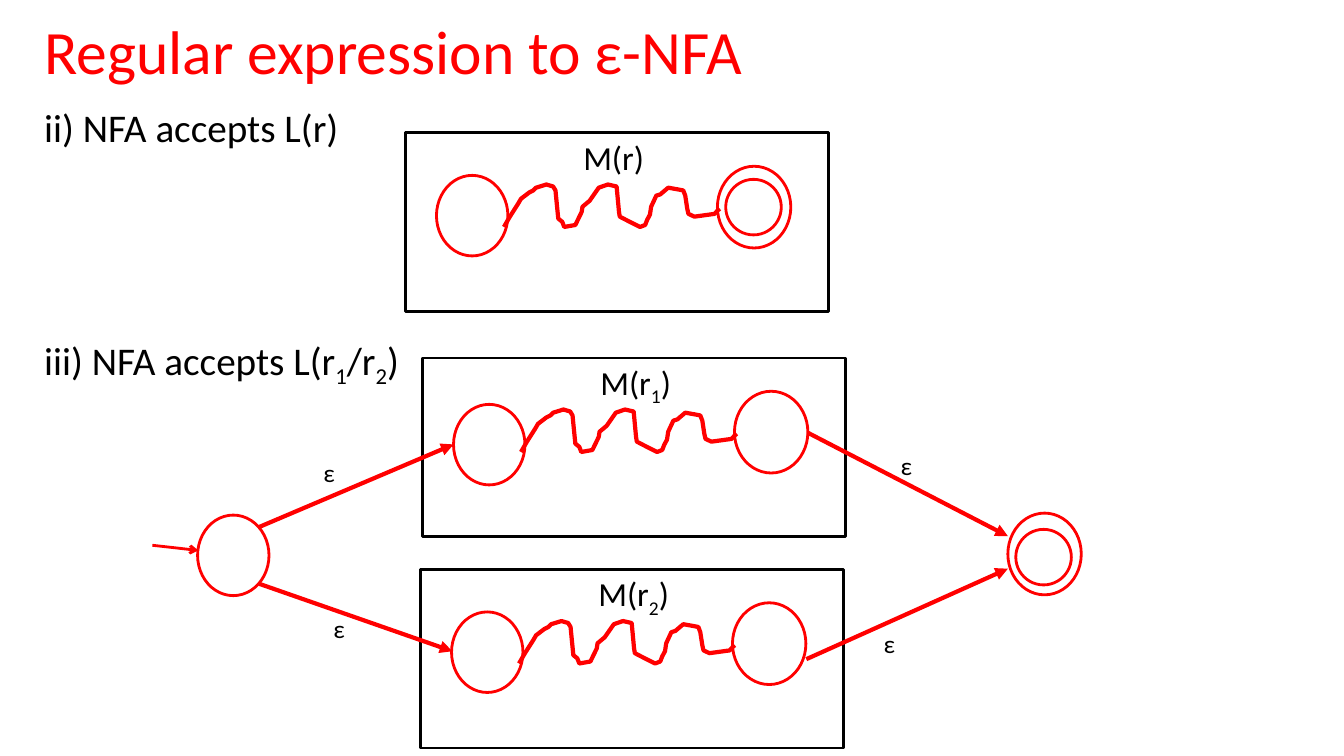
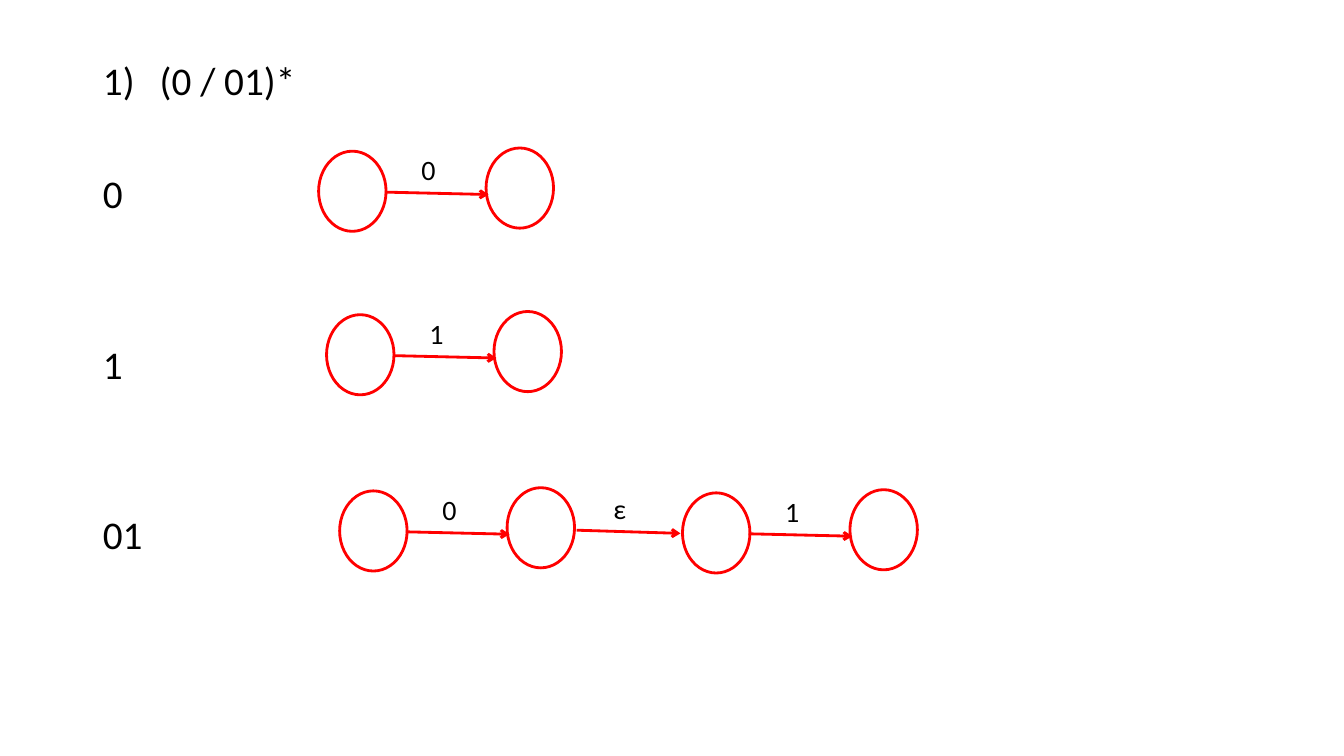
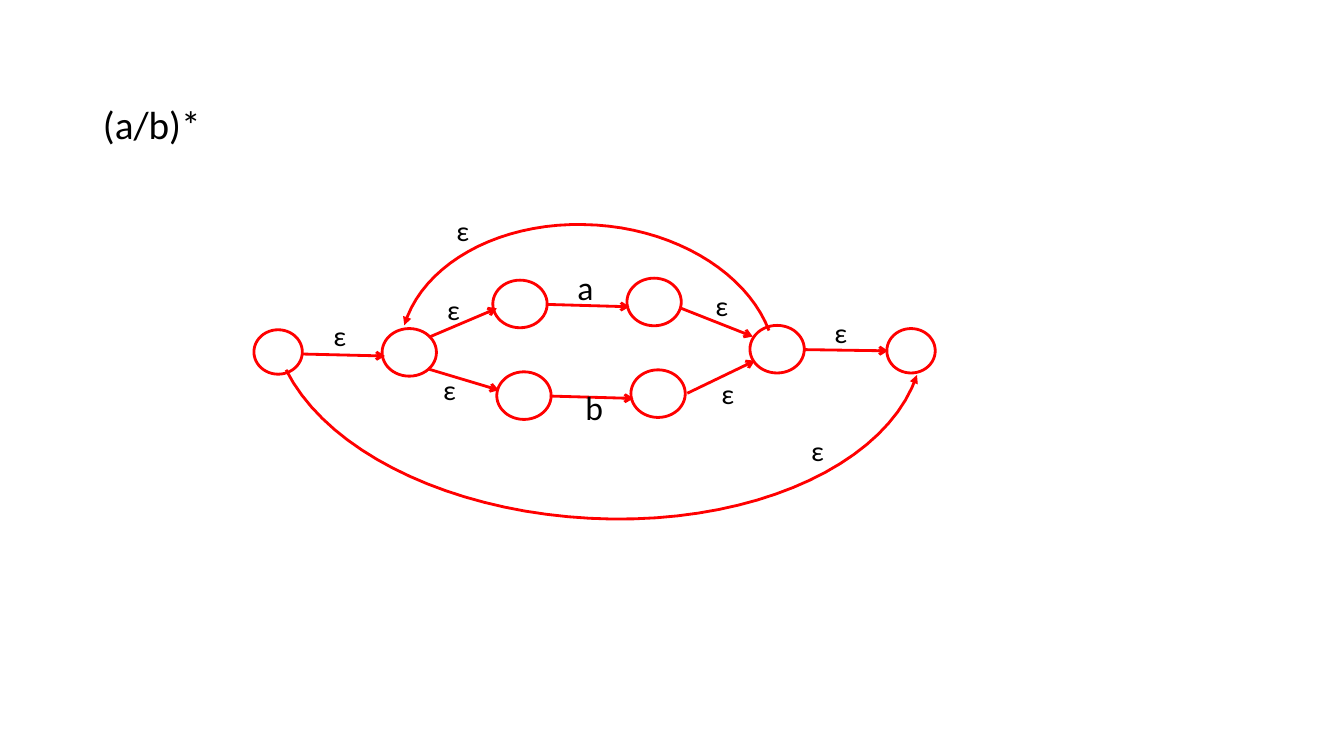
from lxml import etree
from pptx import Presentation
from pptx.dml.color import RGBColor
from pptx.enum.shapes import MSO_CONNECTOR, MSO_SHAPE
from pptx.enum.text import MSO_ANCHOR, MSO_AUTO_SIZE, PP_ALIGN
from pptx.oxml.ns import qn
from pptx.util import Cm, Pt

OVAL, RECTANGLE = MSO_SHAPE.OVAL, MSO_SHAPE.RECTANGLE
STRAIGHT = MSO_CONNECTOR.STRAIGHT
LEFT, TOP, MIDDLE = PP_ALIGN.LEFT, MSO_ANCHOR.TOP, MSO_ANCHOR.MIDDLE
NO_FIT = MSO_AUTO_SIZE.NONE

RED, BLACK = "FF0000", "000000"
FONT = "Calibri"
BODY_SIZE, LINE_SPACING, PARA_GAP = 28, 0.9, 10
LINE_STEP = 40.75  # one body line with its gap, in points

# State sizes in cm
START, FINAL, INNER = (1.8, 2.03), (1.85, 2.06), (1.4, 1.4)
MEDIUM, SMALL, TINY = (1.7, 2.02), (1.37, 1.2), (1.22, 1.12)

# Squiggle between the states of a machine, in cm
WAVE = [
    (0, 1.07), (0.15, 0.81), (0.36, 0.48), (0.43, 0.36), (0.64, 0.2),
    (0.74, 0.15), (0.81, 0.08), (1.07, 0), (1.24, 0.05), (1.3, 0.15),
    (1.32, 0.36), (1.37, 0.86), (1.47, 0.94), (1.52, 1.07), (1.8, 1.02),
    (1.96, 0.69), (1.98, 0.56), (2.16, 0.41), (2.39, 0.08), (2.62, 0),
    (2.84, 0.05), (2.9, 0.69), (2.92, 0.81), (3.17, 0.94), (3.43, 1.07),
    (3.56, 1.02), (3.61, 0.89), (3.68, 0.76), (3.71, 0.56), (3.84, 0.28),
    (3.94, 0.25), (4.14, 0.08), (4.42, 0.13), (4.52, 0.15), (4.57, 0.28),
    (4.62, 0.61), (4.65, 0.74), (4.8, 0.81), (5.31, 0.74), (5.38, 0.66),
    (5.44, 0.61),
]


def colour(value):
    return RGBColor.from_string(value)


def apply(target, values):
    for name, value in values.items():
        setattr(target, name, value)


def bezier(points, steps=20):
    """Points along a chain of cubic curves."""
    curve = [points[0]]
    for first in range(0, len(points) - 1, 3):
        controls = points[first:first + 4]
        for step in range(1, steps + 1):
            t = step / steps
            weights = ((1 - t) ** 3, 3 * t * (1 - t) ** 2,
                       3 * t * t * (1 - t), t ** 3)
            curve.append(tuple(
                sum(w * point[axis] for w, point in zip(weights, controls))
                for axis in (0, 1)))
    return curve


class Slides:
    def __init__(self):
        self.deck = Presentation()
        apply(self.deck, {"slide_width": Cm(33.87), "slide_height": Cm(19.05)})
        self.page = None

    def new_page(self, title=None):
        self.page = self.deck.slides.add_slide(self.deck.slide_layouts[1])
        holder = self.page.shapes.title
        if title is None:
            holder.element.getparent().remove(holder.element)
            return
        self.place(holder, (0.86, 0.15, 32.13, 2.44), MIDDLE)
        self.fill_para(holder.text_frame.paragraphs[0], title, 44, RED)

    def place(self, box, area, anchor):
        names = ("left", "top", "width", "height")
        apply(box, dict(zip(names, map(Cm, area))))
        apply(box.text_frame, {"word_wrap": True, "auto_size": NO_FIT,
                               "vertical_anchor": anchor})

    def fill_para(self, para, text, size, ink=BLACK, spacing=LINE_SPACING):
        """Fill a paragraph; the character after each _ is a subscript."""
        apply(para, {"alignment": LEFT, "line_spacing": spacing})
        plain, *pieces = text.split("_")
        parts = [(plain, False)]
        for piece in pieces:
            parts += [(piece[0], True), (piece[1:], False)]
        for part, lowered in parts:
            span = para.add_run()
            span.text = part
            apply(span.font, {"name": FONT, "size": Pt(size)})
            span.font.color.rgb = colour(ink)
            if lowered:
                span._r.get_or_add_rPr().set("baseline", "-25000")

    def body(self, area, lines, numbered=False):
        """Lines are (text, number of line steps skipped before it)."""
        holder = self.page.placeholders[1]
        self.place(holder, area, TOP)
        frame = holder.text_frame
        for index, (text, skipped) in enumerate(lines):
            para = frame.add_paragraph() if index else frame.paragraphs[0]
            self.fill_para(para, text, BODY_SIZE)
            para.space_before = Pt(PARA_GAP + skipped * LINE_STEP)
            has_number = numbered and index == 0
            indent = Cm(1.43) if has_number else 0
            props = para._p.get_or_add_pPr()
            props.set("marL", str(indent))
            props.set("indent", str(-indent))
            bullet = etree.SubElement(
                props, qn("a:buAutoNum" if has_number else "a:buNone"))
            if has_number:
                bullet.set("type", "arabicParenR")

    def outline(self, shape, ink=RED, weight=2, head=None):
        shape.line.color.rgb = colour(ink)
        shape.line.width = Pt(weight)
        if head:
            line = shape.element.find(".//" + qn("a:ln"))
            etree.SubElement(line, qn("a:tailEnd")).set("type", head)

    def shape(self, kind, left, top, size, ink=RED):
        shape = self.page.shapes.add_shape(
            kind, *map(Cm, (left, top, *size)))
        shape.shadow.inherit = False
        shape.fill.background()
        self.outline(shape, ink)

    def state(self, left, top, size):
        self.shape(OVAL, left, top, size)

    def curve(self, points, weight=2, head=None):
        corners = [(Cm(x), Cm(y)) for x, y in points]
        builder = self.page.shapes.build_freeform(*corners[0], scale=1.0)
        builder.add_line_segments(corners[1:], close=False)
        shape = builder.convert_to_shape()
        shape.shadow.inherit = False
        shape.fill.background()
        self.outline(shape, weight=weight, head=head)

    def arrow(self, start, end, weight=2, head="arrow"):
        line = self.page.shapes.add_connector(
            STRAIGHT, *map(Cm, (*start, *end)))
        self.outline(line, weight=weight, head=head)
        etree.SubElement(line.element.spPr, qn("a:effectLst"))

    def label(self, left, top, text, size=20, width=1):
        box = self.page.shapes.add_textbox(0, 0, 0, 0)
        self.place(box, (left, top, width, 1), TOP)
        self.fill_para(box.text_frame.paragraphs[0], text, size, spacing=1.0)

    def machine(self, left, top, name, start_drop=1.07, accepting=False):
        """A boxed automaton with two states joined by a squiggle."""
        self.shape(RECTANGLE, left, top, (10.67, 4.5), BLACK)
        self.state(left + 0.79, top + start_drop, START)
        self.state(left + 7.87, top + 0.84, FINAL)
        if accepting:
            self.state(left + 8.08, top + 1.17, INNER)
        self.curve([(left + 2.49 + x, top + 1.3 + y) for x, y in WAVE], 3)
        self.label(left + 4.24, top - 0.03, name, 24, 2.59)

    def step(self, left, top, size, gap, drop):
        """Two states, gap apart, joined by a slightly falling arrow."""
        width, height = size
        self.state(left, top + drop, size)
        self.state(left + gap, top, size)
        middle = top + 0.55 * height
        self.arrow((left + width - 0.03, middle),
                   (left + gap + 0.06, middle + 0.06))


def build_union(slides):
    slides.new_page("Regular expression to ε-NFA")
    slides.body((0.86, 2.62, 32.13, 16.43),
                [("ii) NFA accepts L(r)", 0),
                 ("iii) NFA accepts L(r_1/r_2)", 3)])
    slides.machine(10.21, 3.35, "M(r)", accepting=True)
    slides.machine(10.64, 9.02, "M(r_1)", start_drop=1.17)
    slides.machine(10.59, 14.35, "M(r_2)")
    # Shared start and accepting states
    slides.state(4.98, 12.98, START)
    slides.state(25.4, 12.93, FINAL)
    slides.state(25.6, 13.34, INNER)
    slides.arrow((3.84, 13.74), (5, 13.87))
    for start, end in [((6.53, 13.28), (11.43, 11.2)),
                       ((6.53, 14.71), (11.4, 16.41)),
                       ((20.35, 10.9), (25.4, 13.51)),
                       ((20.32, 16.61), (25.4, 14.33))]:
        slides.arrow(start, end, 3, "triangle")
    for left, top in [(7.9, 11.4), (8.15, 15.34), (22.02, 15.7),
                      (22.45, 11.23)]:
        slides.label(left, top, "ε", 18)


def build_parts(slides):
    slides.new_page()
    slides.body((2.34, 1.42, 29.31, 15.75),
                [("(0 / 01)*", 0), ("0", 1), ("1", 2), ("01", 2)],
                numbered=True)
    for left, top, symbol in [(8.03, 3.73, "0"), (8.23, 7.85, "1"),
                              (8.56, 12.29, "0"), (17.2, 12.34, "1")]:
        slides.step(left, top, MEDIUM, 4.22, 0.08)
        slides.label(left + 2.34, top, symbol)
    # Link between the two halves of 01
    slides.arrow((14.53, 13.36), (17.15, 13.44))
    slides.label(15.21, 12.27, "ε")


def build_star(slides):
    slides.new_page()
    slides.body((2.34, 2.54, 29.21, 14.6), [("(a/b)*", 0)])
    # Branches
    slides.step(12.42, 7.01, SMALL, 3.38, 0.05)
    slides.step(12.52, 9.32, SMALL, 3.38, 0.05)
    slides.label(14.3, 6.6, "a", 24)
    slides.label(14.5, 9.63, "b", 24)
    # Outer states
    for left, top, size in [(9.63, 8.28, SMALL), (18.9, 8.2, SMALL),
                            (6.4, 8.31, TINY), (22.35, 8.28, TINY)]:
        slides.state(left, top, size)
    for start, end in [((10.85, 8.48), (12.52, 7.77)),
                       ((10.8, 9.3), (12.57, 9.83)),
                       ((17.17, 7.77), (18.97, 8.48)),
                       ((17.32, 9.91), (19.02, 9.09)),
                       ((7.59, 8.92), (9.7, 8.97)),
                       ((20.29, 8.81), (22.38, 8.84))]:
        slides.arrow(start, end)
    # Loop back and bypass
    for points in [
        [(19.38, 8.33), (18.8, 6.81), (16.87, 5.69), (14.71, 5.66),
         (12.52, 5.61), (10.64, 6.68), (10.19, 8.2)],
        [(7.21, 9.32), (8.31, 11.51), (11.68, 13.03), (15.42, 13.08),
         (19.2, 13.13), (22.38, 11.63), (23.11, 9.45)],
    ]:
        slides.curve(bezier(points), head="triangle")
    for left, top in [(11.02, 7.24), (10.92, 9.27), (17.78, 7.14),
                      (17.93, 9.37), (8.15, 7.9), (20.78, 7.82),
                      (11.25, 5.26), (20.19, 10.8)]:
        slides.label(left, top, "ε")


def main():
    slides = Slides()
    for build in (build_union, build_parts, build_star):
        build(slides)
    slides.deck.save("out.pptx")


if __name__ == "__main__":
    main()
